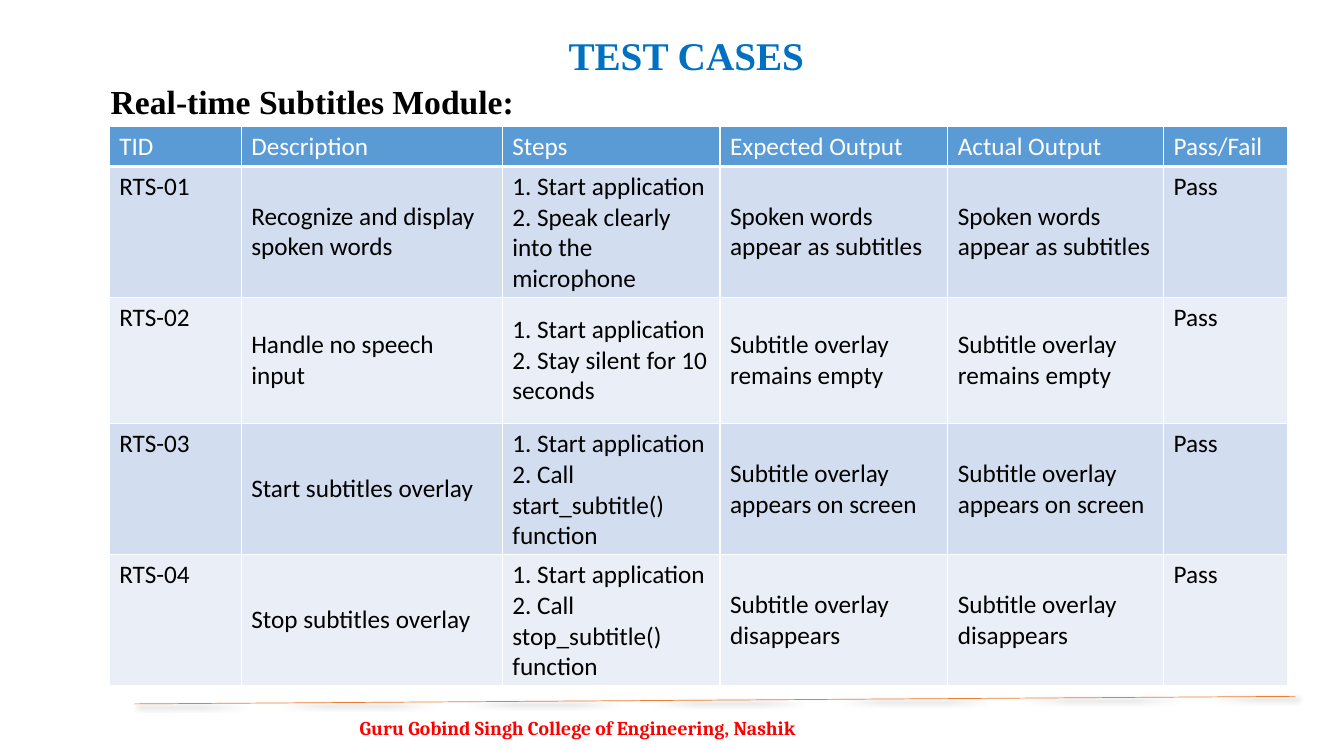
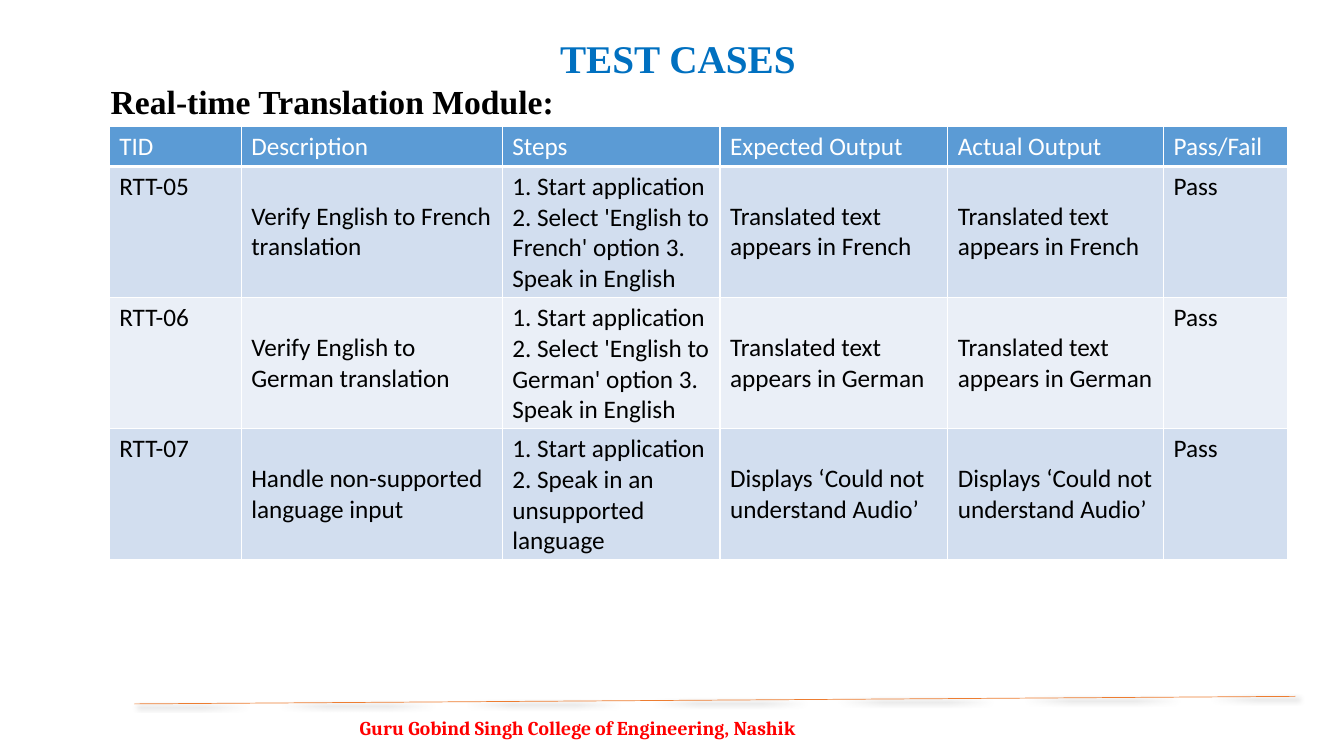
from lxml import etree
from pptx import Presentation
from pptx.dml.color import RGBColor
from pptx.enum.shapes import MSO_CONNECTOR
from pptx.enum.text import MSO_ANCHOR
from pptx.oxml import parse_xml
from pptx.oxml.ns import nsdecls, qn
from pptx.util import Inches, Pt

STRAIGHT = MSO_CONNECTOR.STRAIGHT
TOP, MIDDLE = MSO_ANCHOR.TOP, MSO_ANCHOR.MIDDLE

COLORS = {
    "title": "0070C0", "text": "000000", "footer": "FF0000", "rule": "ED7D31",
    "header": "5B9BD5", "odd": "D2DEEF", "even": "EAEFF7", "white": "FFFFFF",
}
GRID_COLUMNS, GRID_ROWS = 80, 45
HEADINGS = ["TID", "Description", "Steps", "Expected Output", "Actual Output", "Pass/Fail"]
COLUMN_WIDTHS = [7.86, 15.54, 12.96, 13.56, 12.84, 7.38]
HEADER_HEIGHT, CASE_HEIGHT = 1.92, 7.5
FOOTER = "Guru Gobind Singh College of Engineering, Nashik"

# Each module: name, test prefix, first number, title position, (description, steps, output)
MODULES = [
    ("Real-time Subtitles Module:", "RTS", 1, (33.25, 1.55), [
        ("Recognize and display spoken words",
         "1. Start application 2. Speak clearly into the microphone",
         "Spoken words appear as subtitles"),
        ("Handle no speech input",
         "1. Start application 2. Stay silent for 10 seconds",
         "Subtitle overlay remains empty"),
        ("Start subtitles overlay",
         "1. Start application 2. Call start_subtitle() function",
         "Subtitle overlay appears on screen"),
        ("Stop subtitles overlay",
         "1. Start application 2. Call stop_subtitle() function",
         "Subtitle overlay disappears"),
    ]),
    ("Real-time Translation Module:", "RTT", 5, (32.75, 1.75), [
        ("Verify English to French translation",
         "1. Start application 2. Select 'English to French' option 3. Speak in English",
         "Translated text appears in French"),
        ("Verify English to German translation",
         "1. Start application 2. Select 'English to German' option 3. Speak in English",
         "Translated text appears in German"),
        ("Handle non-supported language input",
         "1. Start application 2. Speak in an unsupported language",
         "Displays ‘Could not understand Audio’"),
    ]),
]


class Deck:
    """Holds the style and the current page; lengths are grid columns and rows."""

    def __init__(self):
        self.deck = Presentation()
        self.deck.slide_width, self.deck.slide_height = Inches(13.33), Inches(7.5)
        self.page = None

    def across(self, columns):
        return round(self.deck.slide_width * columns / GRID_COLUMNS)

    def down(self, rows):
        return round(self.deck.slide_height * rows / GRID_ROWS)

    def color(self, name):
        return RGBColor.from_string(COLORS[name])

    def style(self, para, font, size, color, bold):
        for span in para.runs:
            span.font.name, span.font.size, span.font.bold = font, Pt(size), bold
            span.font.color.rgb = self.color(color)

    def add_page(self):
        self.page = self.deck.slides.add_slide(self.deck.slide_layouts[6])
        self.add_footer()

    def add_text(self, text, left, top, width, height, font, size, color):
        box = self.page.shapes.add_textbox(
            self.across(left), self.down(top), self.across(width), self.down(height))
        box.text_frame.word_wrap = True
        box.text_frame.text = text
        para = box.text_frame.paragraphs[0]
        self.style(para, font, size, color, True)
        return para

    def add_title(self, text, left, top):
        self.add_text(text, left, top, 30, 3.4, "Times New Roman", 28, "title")

    def add_module_name(self, text):
        self.add_text(text, 6, 4.5, 60.5, 3, "Times New Roman", 24, "text")

    def add_footer(self):
        para = self.add_text(FOOTER, 20.82, 42.48, 35, 2.5, "Cambria", 14, "footer")
        para.line_spacing = 0.9
        rule = self.page.shapes.add_connector(
            STRAIGHT, self.across(8), self.down(41.9), self.across(77.1), self.down(41.45))
        rule.line.color.rgb = self.color("rule")
        rule.line.width = Pt(0.5)
        rule.element.spPr.append(parse_xml(
            f'<a:effectLst {nsdecls("a")}><a:outerShdw blurRad="{Pt(4)}" dist="{Pt(3)}" '
            'dir="2700000" rotWithShape="0"><a:srgbClr val="000000"><a:alpha val="40000"/>'
            '</a:srgbClr></a:outerShdw></a:effectLst>'))

    def add_borders(self, cell, bottom):
        properties = cell._tc.get_or_add_tcPr()
        for side, points in (("L", 1), ("R", 1), ("T", 1), ("B", bottom)):
            edge = etree.SubElement(properties, qn(f"a:ln{side}"), w=str(Pt(points)))
            fill = etree.SubElement(edge, qn("a:solidFill"))
            etree.SubElement(fill, qn("a:srgbClr"), val=COLORS["white"])

    def fill_cell(self, cell, text, fill, color, anchor, bottom=1):
        cell.text_frame.text = text
        cell.vertical_anchor = anchor
        self.style(cell.text_frame.paragraphs[0], "Calibri", 18, color, False)
        self.add_borders(cell, bottom)
        cell.fill.solid()
        cell.fill.fore_color.rgb = self.color(fill)

    def add_case_table(self, prefix, first, cases):
        height = HEADER_HEIGHT + CASE_HEIGHT * len(cases)
        table = self.page.shapes.add_table(
            len(cases) + 1, len(HEADINGS), self.across(6.5), self.down(7.5),
            self.across(sum(COLUMN_WIDTHS)), self.down(height)).table
        for column, width in zip(table.columns, COLUMN_WIDTHS):
            column.width = self.across(width)
        for index, row in enumerate(table.rows):
            row.height = self.down(CASE_HEIGHT if index else HEADER_HEIGHT)
        for cell, heading in zip(table.rows[0].cells, HEADINGS):
            self.fill_cell(cell, heading, "header", "white", TOP, bottom=3)
        for index, (description, steps, output) in enumerate(cases):
            values = [f"{prefix}-{first + index:02}", description, steps, output, output, "Pass"]
            fill = "even" if index % 2 else "odd"
            for column, value in enumerate(values):
                anchor = MIDDLE if 0 < column < len(values) - 1 else TOP
                self.fill_cell(table.cell(index + 1, column), value, fill, "text", anchor)


def main():
    deck = Deck()
    for name, prefix, first, title_position, cases in MODULES:
        deck.add_page()
        deck.add_title("TEST CASES", *title_position)
        deck.add_module_name(name)
        deck.add_case_table(prefix, first, cases)
    deck.deck.save("out.pptx")


if __name__ == "__main__":
    main()
